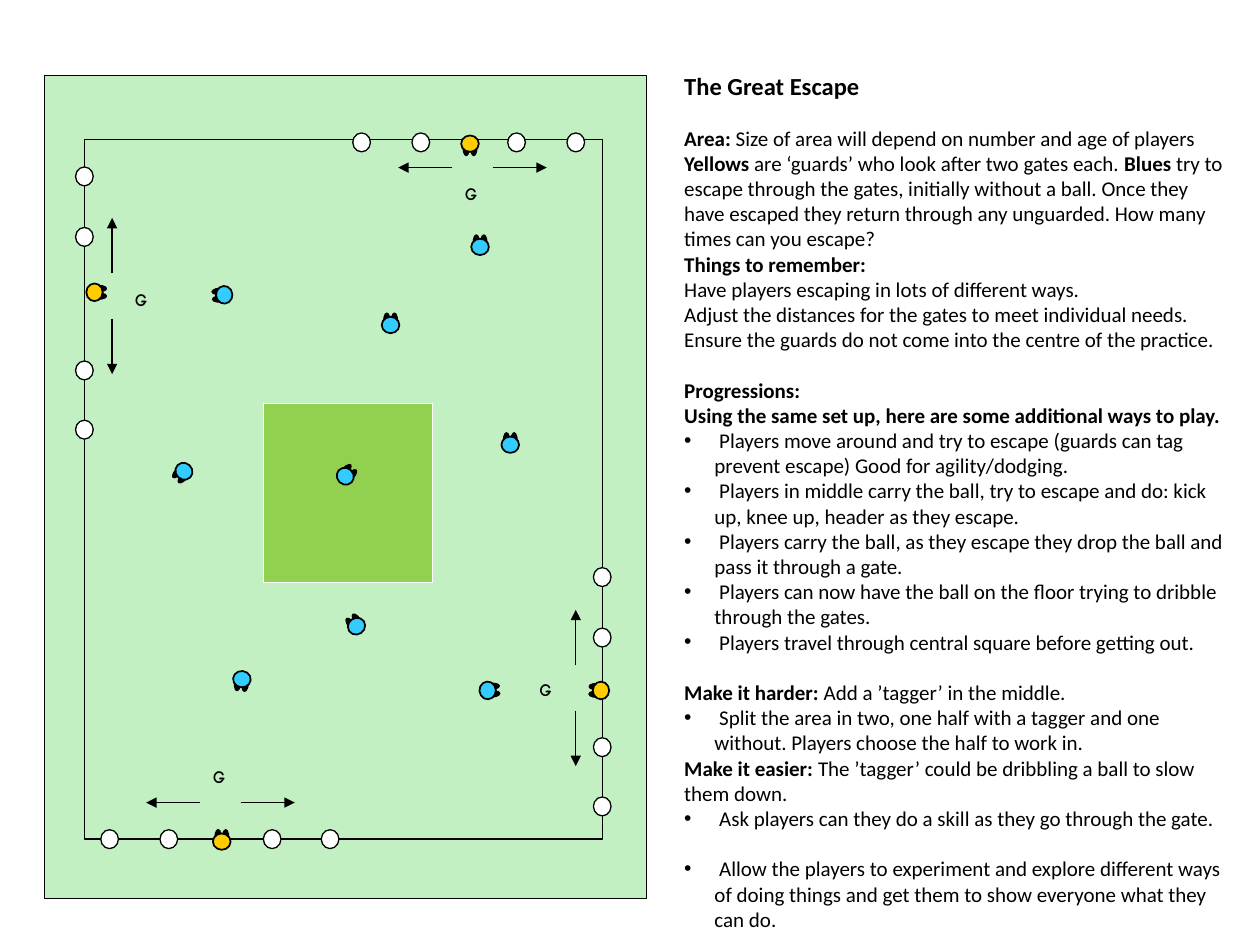
"""Build the Great Escape practice slide: marked pitch on the left, notes on the right."""
from math import cos, radians, sin
from typing import NamedTuple

from lxml.etree import SubElement
from pptx import Presentation
from pptx.dml.color import RGBColor
from pptx.enum.shapes import MSO_CONNECTOR as Connector, MSO_SHAPE as Shape
from pptx.oxml.ns import qn
from pptx.util import Inches, Pt

BLACK, WHITE, YELLOW, BLUE = "000000", "FFFFFF", "FFCC00", "33CCFF"
CONE_SIZE = (0.14, 0.15)
BODY_SIZE = (0.14, 0.13)
FOOT_SIZE = (0.05, 0.13)
BULLET_INDENT = 0.24


class Player(NamedTuple):
    x: float
    y: float
    angle: int
    color: str = BLUE


class Side(NamedTuple):
    upright: bool
    edge: float
    cones: tuple
    arrow_line: float
    arrow_middle: float
    label: tuple


class Note(NamedTuple):
    text: str
    bullet: bool = False
    gap: float = 0
    size: float = 12


SIDES = [
    Side(True, 0.67, (1.4, 1.88, 2.94, 3.41), 0.89, 2.35, (1.03, 2.25)),
    Side(False, 6.66, (0.87, 1.34, 2.16, 2.62), 6.37, 1.75, (1.65, 6.04)),
    Side(False, 1.13, (2.87, 3.34, 4.1, 4.57), 1.33, 3.75, (3.65, 1.41)),
    Side(True, 4.78, (4.58, 5.06, 5.93, 6.4), 4.57, 5.46, (4.24, 5.35)),
]

PLAYERS = [
    Player(3.73, 1.14, 180, YELLOW),
    Player(4.77, 5.48, 271, YELLOW),
    Player(1.76, 6.68, 1, YELLOW),
    Player(0.75, 2.32, 90, YELLOW),
    Player(4.05, 3.53, 0),
    Player(3.81, 1.96, 0),
    Player(1.46, 3.74, 223),
    Player(1.78, 2.34, 266),
    Player(3.87, 5.48, 86),
    Player(1.92, 5.39, 186),
    Player(3.1, 2.58, 0),
    Player(2.74, 3.78, 43),
    Player(2.83, 4.97, 326),
]

NOTES = [
    Note("*The Great Escape*", size=14),
    Note("*Area: *Size of area will depend on number and age of players", gap=14.4),
    Note("*Yellows *are ‘guards’ who look after two gates each. *Blues* try to escape through "
         "the gates, initially without a ball. Once they have escaped they return through any "
         "unguarded. How many times can you escape?"),
    Note("*Things to remember:*"),
    Note("Have players escaping in lots of different ways."),
    Note("Adjust the distances for the gates to meet individual needs."),
    Note("Ensure the guards do not come into the centre of the practice."),
    Note("*Progressions:*", gap=14.4),
    Note("*Using the same set up, here are some additional ways to play.*"),
    Note("Players move around and try to escape (guards can tag prevent escape) "
         "Good for agility/dodging.", True),
    Note("Players in middle carry the ball, try to escape and do: kick up, knee up, "
         "header as they escape.", True),
    Note("Players carry the ball, as they escape they drop the ball and pass it "
         "through a gate.", True),
    Note("Players can now have the ball on the floor trying to dribble through the gates.", True),
    Note("Players travel through central square before getting out.", True),
    Note("*Make it harder: *Add a ’tagger’ in the middle.", gap=14.4),
    Note("Split the area in two, one half with a tagger and one without. "
         "Players choose the half to work in.", True),
    Note("*Make it easier: *The ’tagger’ could be dribbling a ball to slow them down."),
    Note("Ask players can they do a skill as they go through the gate.", True),
    Note("Allow the players to experiment and explore different ways of doing things and "
         "get them to show everyone what they can do.", True, 14.4),
]


def rgb(value: str) -> RGBColor:
    """Turn a hex string into a colour."""
    return RGBColor.from_string(value)


def add_outline(page, kind, left: float, top: float, size: tuple, fill: str | None,
                line: str = BLACK, weight: float = 0.75, angle: float = 0):
    """Add a preset shape with a flat fill and a thin line."""
    shape = page.shapes.add_shape(kind, Inches(left), Inches(top), *map(Inches, size))
    shape.shadow.inherit = False
    shape.rotation = angle
    if fill:
        shape.fill.solid()
        shape.fill.fore_color.rgb = rgb(fill)
    else:
        shape.fill.background()
    shape.line.color.rgb = rgb(line)
    shape.line.width = Pt(weight)


def add_dot(page, x: float, y: float, size: tuple, fill: str, **style) -> None:
    """Add an ellipse around a centre point."""
    add_outline(page, Shape.OVAL, x - size[0] / 2, y - size[1] / 2, size, fill, **style)


def add_arrow(page, start: tuple, end: tuple) -> None:
    """Add a line with a triangular head at its end."""
    arrow = page.shapes.add_connector(Connector.STRAIGHT, *map(Inches, start + end))
    arrow.line.color.rgb = rgb(BLACK)
    arrow.line.width = Pt(0.75)
    SubElement(arrow.line._get_or_add_ln(), qn("a:tailEnd"), type="triangle")
    SubElement(arrow._element.spPr, qn("a:effectLst"))


def add_box(page, left: float, top: float, width: float, height: float):
    """Add a wrapping text box with narrow margins and return its frame."""
    frame = page.shapes.add_textbox(*map(Inches, (left, top, width, height))).text_frame
    margins = dict.fromkeys(("margin_left", "margin_top", "margin_right", "margin_bottom"),
                            Inches(0.04))
    for name, value in {**margins, "word_wrap": True}.items():
        setattr(frame, name, value)
    return frame


def add_span(para, text: str, **style) -> None:
    """Add a black run with the given font values."""
    span = para.add_run()
    span.text = text
    for name, value in style.items():
        setattr(span.font, name, value)
    span.font.color.rgb = rgb(BLACK)


def add_note(para, note: Note) -> None:
    """Write one note, with starred parts in bold."""
    if note.bullet:
        props = para._p.get_or_add_pPr()
        props.set("marL", str(Inches(BULLET_INDENT)))
        props.set("indent", str(-Inches(BULLET_INDENT)))
        SubElement(props, qn("a:buFont"), typeface="Arial")
        SubElement(props, qn("a:buChar"), char="•")
    para.space_before = Pt(note.gap)
    text = f" {note.text}" if note.bullet else note.text
    for index, part in enumerate(text.split("*")):
        if part:
            add_span(para, part, name="Calibri", size=Pt(note.size), bold=index % 2 == 1)


def add_side(page, side: Side) -> None:
    """Draw the two gates of one side, the guard's arrows and the label."""
    def point(along: float, across: float) -> tuple:
        return (across, along) if side.upright else (along, across)

    for along in side.cones:
        add_dot(page, *point(along, side.edge), CONE_SIZE, WHITE)
    near, far = (0.18, 0.62) if side.upright else (0.16, 0.59)
    for sign in (-1, 1):
        add_arrow(page, point(side.arrow_middle + sign * near, side.arrow_line),
                  point(side.arrow_middle + sign * far, side.arrow_line))
    label = add_box(page, *side.label, 0.18, 0.25)
    add_span(label.paragraphs[0], "G", name="Comic Neue", size=Pt(10), bold=True)


def add_player(page, player: Player) -> None:
    """Draw two feet in front of a round body, turned to the player's angle."""
    turn = radians(player.angle)
    for side, ahead in ((-0.03, -0.03), (0.03, -0.03)):
        add_dot(page, player.x + side * cos(turn) - ahead * sin(turn),
                player.y + side * sin(turn) + ahead * cos(turn),
                FOOT_SIZE, BLACK, angle=player.angle)
    add_dot(page, player.x, player.y, BODY_SIZE, player.color, weight=1, angle=player.angle)


def main() -> None:
    """Build and save the slide."""
    deck = Presentation()
    deck.slide_width, deck.slide_height = Inches(10), Inches(7.5)
    page = deck.slides.add_slide(deck.slide_layouts[6])
    frame = add_box(page, 5.39, 0.52, 4.41, 4.84)
    for index, note in enumerate(NOTES):
        add_note(frame.add_paragraph() if index else frame.paragraphs[0], note)
    add_outline(page, Shape.RECTANGLE, 0.35, 0.6, (4.78, 6.53), "C2F0C2", weight=0.25)
    add_outline(page, Shape.RECTANGLE, 0.67, 1.11, (4.11, 5.55), None)
    add_outline(page, Shape.RECTANGLE, 2.09, 3.2, (1.34, 1.42), "92D050", WHITE, 0.25)
    for side in SIDES:
        add_side(page, side)
    for player in PLAYERS:
        add_player(page, player)
    deck.save("out.pptx")


if __name__ == "__main__":
    main()
